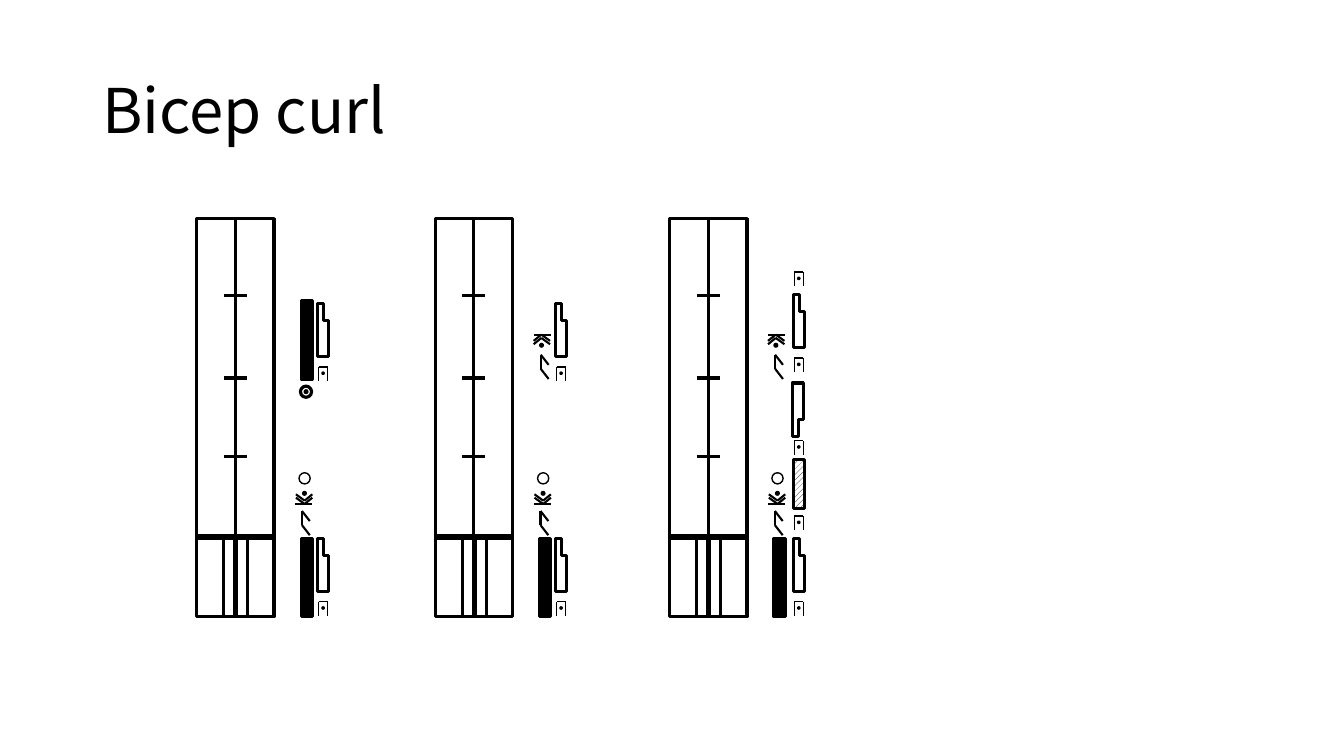
from dataclasses import dataclass
from typing import Callable

import lxml.etree
import pptx
import pptx.dml.color
import pptx.enum.dml
import pptx.enum.shapes
import pptx.enum.text
import pptx.oxml.ns
import pptx.util

Pt = pptx.util.Pt
SHAPES = pptx.enum.shapes.MSO_SHAPE
COLOURS = {"ink": "000000", "paper": "FFFFFF"}
FONT = "Noto Sans CJK KR"
THICK, MEDIUM, THIN = 2.25, 1.5, 1

STAFF_TOP, FLOOR, START, STAFF_BOTTOM = 156.2, 382.3, 384.5, 440.6
HALF_WIDTH = 27.7
BEAT_HEIGHT = STAFF_BOTTOM - START
SIGN_WIDTH = 8
TICKS = (326.2, 270, 211)


@dataclass(frozen=True)
class Sign:
    draw: Callable[..., None]
    x: float
    y: float
    turned: bool = False


@dataclass(frozen=True)
class Staff:
    left: float
    signs: tuple[Sign, ...]


def colour(name: str) -> pptx.dml.color.RGBColor:
    return pptx.dml.color.RGBColor.from_string(COLOURS[name])


def style(shape, fill: str | None, weight: float | None) -> None:
    shape.shadow.inherit = False
    if fill:
        shape.fill.solid()
        shape.fill.fore_color.rgb = colour(fill)
    else:
        shape.fill.background()
    if weight:
        shape.line.color.rgb = colour("ink")
        shape.line.width = Pt(weight)
    else:
        shape.line.fill.background()


def stroke(shapes, x1: float, y1: float, x2: float, y2: float, weight: float) -> None:
    line = shapes.add_connector(
        pptx.enum.shapes.MSO_CONNECTOR.STRAIGHT, Pt(x1), Pt(y1), Pt(x2), Pt(y2)
    )
    line.line.color.rgb = colour("ink")
    line.line.width = Pt(weight)
    lxml.etree.SubElement(line._element.spPr, pptx.oxml.ns.qn("a:effectLst"))


def box(shapes, x: float, y: float, width: float, height: float, fill: str = "paper"):
    rectangle = shapes.add_shape(SHAPES.RECTANGLE, Pt(x), Pt(y), Pt(width), Pt(height))
    style(rectangle, fill, THICK)
    return rectangle


def disc(shapes, x: float, y: float, size: float, fill: str | None, weight: float | None) -> None:
    style(shapes.add_shape(SHAPES.OVAL, Pt(x), Pt(y), Pt(size), Pt(size)), fill, weight)


def low_bar(shapes, x: float, y: float, turned: bool) -> None:
    box(shapes, x, y, SIGN_WIDTH, BEAT_HEIGHT, "ink")


def hatched_bar(shapes, x: float, y: float, turned: bool) -> None:
    bar = box(shapes, x, y, SIGN_WIDTH, 34.9)
    bar.fill.patterned()
    bar.fill.pattern = pptx.enum.dml.MSO_PATTERN.WIDE_UPWARD_DIAGONAL
    bar.fill.fore_color.rgb = colour("ink")
    bar.fill.back_color.rgb = colour("paper")


def forward(shapes, x: float, y: float, turned: bool) -> None:
    height, notch_x, notch_y = 38.2, 4.3, 12.2
    outline = [(0, 0), (0, height), (SIGN_WIDTH, height),
               (SIGN_WIDTH, notch_y), (notch_x, notch_y), (notch_x, 0)]
    points = [(Pt(x + dx), Pt(y + (height - dy if turned else dy))) for dx, dy in outline]
    builder = shapes.build_freeform(*points[0], scale=1.0)
    builder.add_line_segments(points[1:], close=True)
    style(builder.convert_to_shape(), "paper", THICK)


def hand(shapes, x: float, y: float, turned: bool) -> None:
    width, height = 6.5, 10.2
    for side in (x, x + width):
        stroke(shapes, side, y + height, side, y, THIN)
    stroke(shapes, x, y, x + width, y, THIN)
    disc(shapes, x + 2.4, y + 3.7, 1.6, "ink", THIN)


def joint(shapes, x: float, y: float, turned: bool) -> None:
    stroke(shapes, x, y, x, y + 10.1, MEDIUM)
    for drop in (0, 10.1):
        stroke(shapes, x, y + drop, x + 5.6, y + drop + 7.2, MEDIUM)


def contraction(shapes, x: float, y: float, turned: bool) -> None:
    width, dot = 12.4, 3.6

    def place(dx: float, dy: float) -> tuple[float, float]:
        return (x + width - dx, y - dy) if turned else (x + dx, y + dy)

    stroke(shapes, *place(0, 0), *place(width, 0), MEDIUM)
    for rise in (0, -2.4):
        tip = place(6.9, rise)
        stroke(shapes, *place(0.7, rise - 4.5), *tip, MEDIUM)
        stroke(shapes, *tip, *place(width, rise - 4.5), MEDIUM)
    centre_x, centre_y = place(6.8, -7.6)
    disc(shapes, centre_x - dot / 2, centre_y - dot / 2, dot, "ink", None)


def ring(shapes, x: float, y: float, turned: bool) -> None:
    disc(shapes, x, y, SIGN_WIDTH, None, THIN)


def target(shapes, x: float, y: float, turned: bool) -> None:
    disc(shapes, x, y, SIGN_WIDTH, None, THICK)
    disc(shapes, x + 2.2, y + 2.2, 3.6, "ink", None)


def draw_staff(shapes, staff: Staff) -> None:
    left = staff.left
    for top, bottom in ((FLOOR, STAFF_BOTTOM), (STAFF_TOP, FLOOR)):
        for column in range(2):
            box(shapes, left + column * HALF_WIDTH, top, HALF_WIDTH, bottom - top)
    stroke(shapes, left, START, left + 2 * HALF_WIDTH, START, THICK)
    for inset in (19.5, 28.5):
        box(shapes, left + inset, START, SIGN_WIDTH, BEAT_HEIGHT)
    for tick in TICKS:
        stroke(shapes, left + 19.5, tick, left + 35.8, tick, THICK)
    for sign in staff.signs:
        sign.draw(shapes, left + sign.x, sign.y, sign.turned)


def arm(sign_x: float) -> tuple[Sign, ...]:
    return (
        Sign(low_bar, 74.7, START),
        Sign(forward, sign_x, START),
        Sign(hand, sign_x + 0.8, 429.8),
        Sign(joint, 75.3, 365),
        Sign(contraction, 70.3, 360),
        Sign(ring, 73.2, 337.7),
    )


BENT_ELBOW = (Sign(joint, 75.5, 253.4), Sign(contraction, 70.4, 239, True))

STAVES = (
    Staff(140.4, arm(86.4) + (
        Sign(forward, 86.4, 216.7), Sign(hand, 87.2, 262.1),
        Sign(low_bar, 74.7, 214.6), Sign(target, 74.2, 275.8),
    )),
    Staff(310.8, arm(86) + BENT_ELBOW + (
        Sign(forward, 86, 216.7), Sign(hand, 86.8, 262.1),
    )),
    Staff(478.2, arm(88.4) + BENT_ELBOW + (
        Sign(forward, 87.7, 273.6, True), Sign(hand, 89.2, 314.8),
        Sign(hatched_bar, 88.4, 328.5), Sign(hand, 89.2, 368.6),
        Sign(forward, 88.4, 210.2), Sign(hand, 89.2, 255.8), Sign(hand, 89.2, 194.4),
    )),
)


def add_title(slide) -> None:
    title = slide.shapes.title
    title.left, title.top, title.width, title.height = Pt(66), Pt(28.75), Pt(828), Pt(104.4)
    frame = title.text_frame
    frame.text = "Bicep curl"
    frame.auto_size = pptx.enum.text.MSO_AUTO_SIZE.NONE
    frame.vertical_anchor = pptx.enum.text.MSO_ANCHOR.MIDDLE
    paragraph = frame.paragraphs[0]
    paragraph.alignment = pptx.enum.text.PP_ALIGN.LEFT
    paragraph.line_spacing = 0.9
    font = paragraph.runs[0].font
    font.name, font.size = FONT, Pt(44)
    font.color.rgb = colour("ink")


def main() -> None:
    deck = pptx.Presentation()
    deck.slide_width, deck.slide_height = Pt(960), Pt(540)
    slide = deck.slides.add_slide(deck.slide_layouts[5])
    add_title(slide)
    for staff in STAVES:
        draw_staff(slide.shapes, staff)
    deck.save("out.pptx")


if __name__ == "__main__":
    main()
